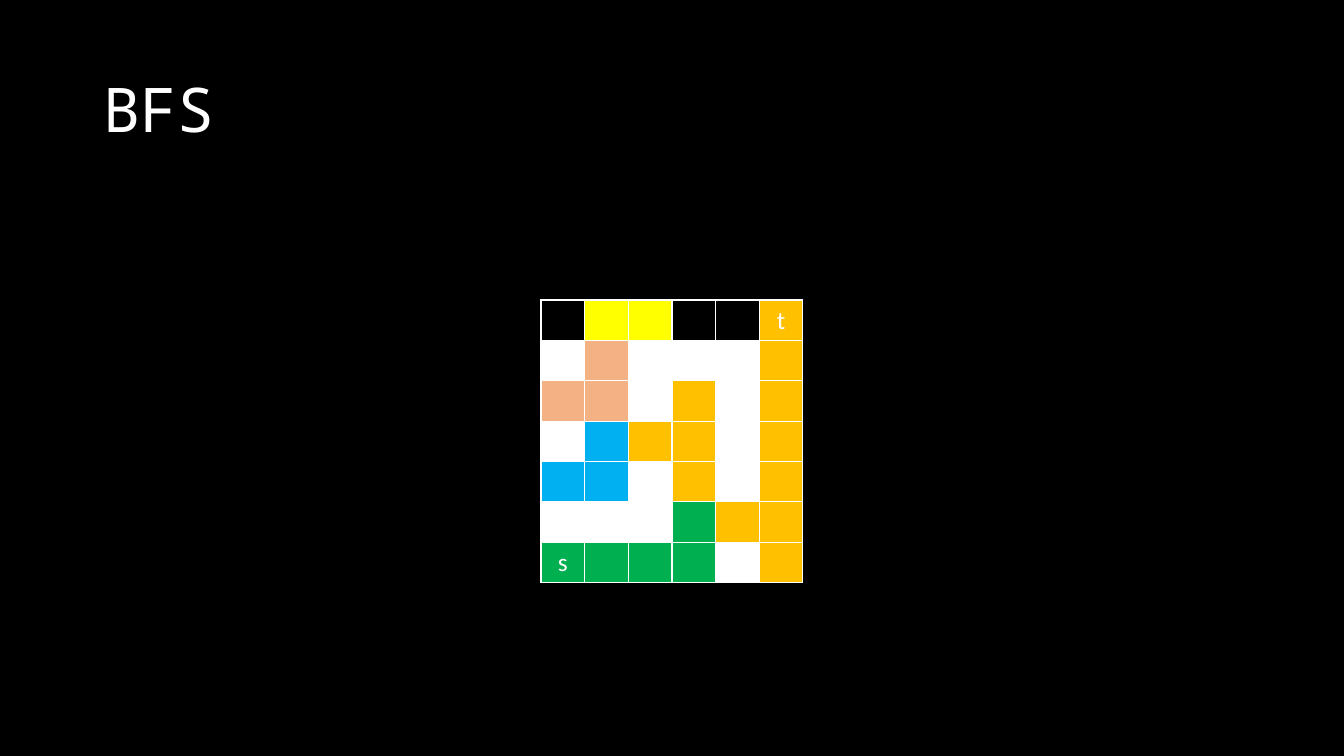
import lxml.etree
import pptx
import pptx.dml.color
import pptx.enum.text
import pptx.oxml.ns
import pptx.util

# Content: one letter per maze cell
TITLE = "BFS"
MAZE = [
    ".YY..O",
    "WPWWWO",
    "PPWOWO",
    "WBOOWO",
    "BBWOWO",
    "WWWGOO",
    "GGGGWO",
]
FILLS = {"Y": "FFFF00", "O": "FFC000", "W": "FFFFFF",
         "P": "F4B183", "B": "00B0F0", "G": "00B050"}
LABELS = {(0, 5): "t", (6, 0): "s"}
WHITE, BLACK = "FFFFFF", "000000"

# Geometry in pixels
PAGE_SIZE = 1344, 756
TITLE_BOX = 93, 40, 1159, 146
MAZE_BOX = 541, 300, 262, 282


def emu(pixels):
    return pptx.util.Emu(round(pixels * 914400 / 100.8))


def color(value):
    return pptx.dml.color.RGBColor.from_string(value)


def add_span(para, text, font, size):
    span = para.add_run()
    span.text = text
    span.font.name = font
    span.font.size = pptx.util.Pt(size)
    span.font.color.rgb = color(WHITE)


def add_borders(cell):
    properties = cell._tc.get_or_add_tcPr()
    for index, side in enumerate(("a:lnL", "a:lnR", "a:lnT", "a:lnB")):
        line = lxml.etree.Element(pptx.oxml.ns.qn(side), w=str(pptx.util.Pt(1)))
        fill = lxml.etree.SubElement(line, pptx.oxml.ns.qn("a:solidFill"))
        lxml.etree.SubElement(fill, pptx.oxml.ns.qn("a:srgbClr"), val=WHITE)
        properties.insert(index, line)


# Page
deck = pptx.Presentation()
deck.slide_width, deck.slide_height = map(emu, PAGE_SIZE)
page = deck.slides.add_slide(deck.slide_layouts[6])
page.background.fill.solid()
page.background.fill.fore_color.rgb = color(BLACK)

# Title
box = page.shapes.add_textbox(*map(emu, TITLE_BOX))
frame = box.text_frame
frame.word_wrap = True
frame.vertical_anchor = pptx.enum.text.MSO_ANCHOR.MIDDLE
frame.paragraphs[0].line_spacing = 0.9
add_span(frame.paragraphs[0], TITLE, "Noto Sans Mono", 44)

# Maze
maze = page.shapes.add_table(len(MAZE), len(MAZE[0]), *map(emu, MAZE_BOX)).table
maze.first_row = maze.horz_banding = False
for row, letters in enumerate(MAZE):
    for column, letter in enumerate(letters):
        cell = maze.cell(row, column)
        if letter in FILLS:
            cell.fill.solid()
            cell.fill.fore_color.rgb = color(FILLS[letter])
        else:
            cell.fill.background()
        add_borders(cell)
        if (row, column) in LABELS:
            para = cell.text_frame.paragraphs[0]
            para.alignment = pptx.enum.text.PP_ALIGN.CENTER
            add_span(para, LABELS[row, column], "Calibri", 18)

deck.save("out.pptx")
